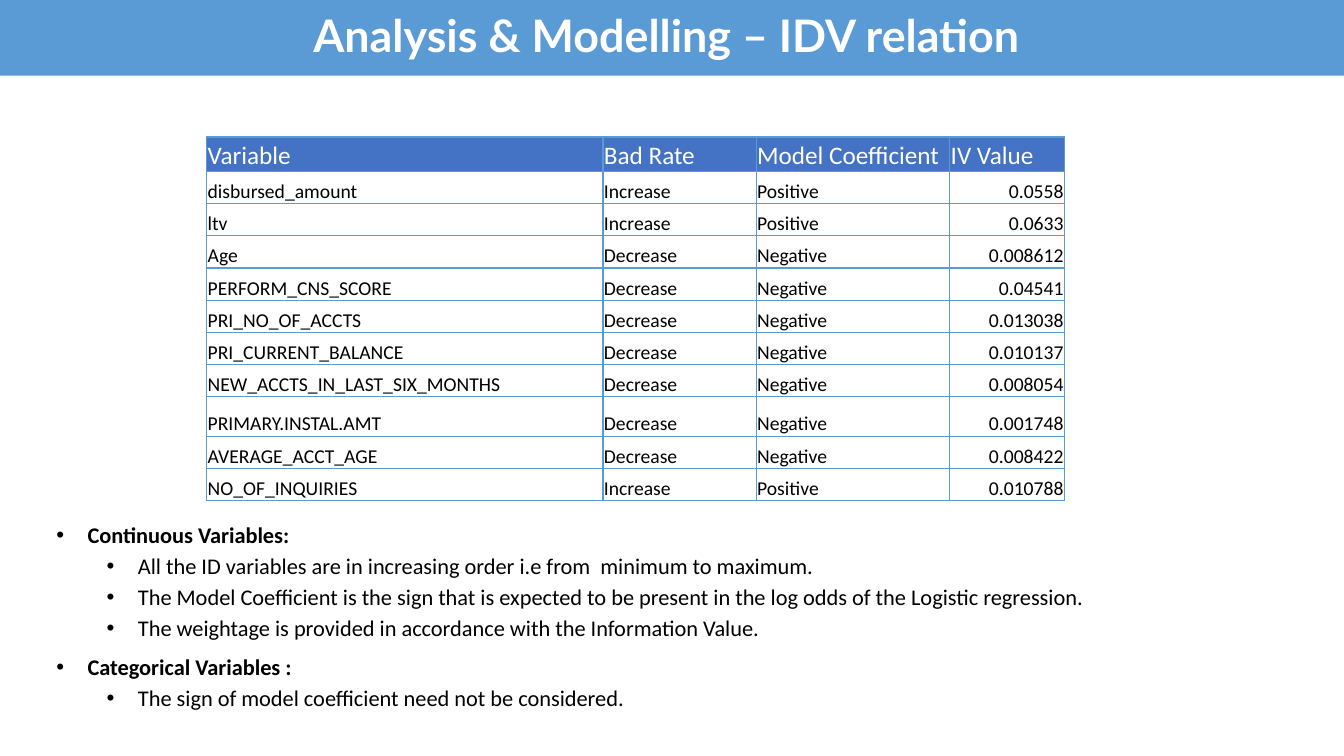
"""Build the slide on independent variables and their model relation."""
import pptx
import pptx.dml.color
import pptx.enum.shapes
import pptx.enum.text
import pptx.oxml
import pptx.oxml.ns
import pptx.util
from lxml import etree

TITLE = "Analysis & Modelling – IDV relation "
HEADER = ("Variable", "Bad Rate", "Model Coefficient", "IV Value")
VARIABLES = [
    ("disbursed_amount", "Increase", "Positive", "0.0558"),
    ("ltv", "Increase", "Positive", "0.0633"),
    ("Age", "Decrease", "Negative", "0.008612"),
    ("PERFORM_CNS_SCORE", "Decrease", "Negative", "0.04541"),
    ("PRI_NO_OF_ACCTS", "Decrease", "Negative", "0.013038"),
    ("PRI_CURRENT_BALANCE", "Decrease", "Negative", "0.010137"),
    ("NEW_ACCTS_IN_LAST_SIX_MONTHS", "Decrease", "Negative", "0.008054"),
    ("PRIMARY.INSTAL.AMT", "Decrease", "Negative", "0.001748"),
    ("AVERAGE_ACCT_AGE", "Decrease", "Negative", "0.008422"),
    ("NO_OF_INQUIRIES", "Increase", "Positive", "0.010788"),
]
NOTES = [
    ("Continuous Variables:", [
        "All the ID variables are in increasing order i.e from  minimum to maximum.",
        "The Model Coefficient is the sign that is expected to be present in the log odds of the Logistic regression.",
        "The weightage is provided in accordance with the Information Value.",
    ]),
    ("Categorical Variables :", ["The sign of model coefficient need not be considered."]),
]
COLORS = {"band": "5B9BD5", "header": "4472C4", "white": "FFFFFF", "text": "000000"}
COLUMNS = (3.93, 1.52, 1.92, 1.14)
ROWS = [0.34] + [0.32] * 7 + [0.39] + [0.32] * 2
INCH = pptx.util.Inches
ALIGN = pptx.enum.text.PP_ALIGN
MIDDLE = pptx.enum.text.MSO_ANCHOR.MIDDLE
BOTTOM = pptx.enum.text.MSO_ANCHOR.BOTTOM


def rgb(name):
    return pptx.dml.color.RGBColor.from_string(COLORS[name])


def write(p, text, size=16, font="Calibri", color="text", bold=False,
          align=ALIGN.LEFT, spacing=None, before=0):
    p.alignment = align
    p.line_spacing = spacing
    p.space_before = pptx.util.Pt(before)
    r = p.add_run()
    r.text = text
    r.font.size = pptx.util.Pt(size)
    r.font.name = font
    r.font.bold = bold
    r.font.color.rgb = rgb(color)


def add_bullet(p, level):
    p.level = level
    pPr = p._p.get_or_add_pPr()
    pPr.set("marL", str(INCH(0.31 + 0.5 * level)))
    pPr.set("indent", str(-INCH(0.31)))
    for tag, key, value in (("a:buFont", "typeface", "Arial"), ("a:buChar", "char", "•")):
        etree.SubElement(pPr, pptx.oxml.ns.qn(tag)).set(key, value)


def add_borders(cell):
    tcPr = cell._tc.get_or_add_tcPr()
    for i, side in enumerate(("lnL", "lnR", "lnT", "lnB")):
        tcPr.insert(i, pptx.oxml.parse_xml(
            f'<a:{side} {pptx.oxml.ns.nsdecls("a")} w="{pptx.util.Pt(1)}">'
            f'<a:solidFill><a:srgbClr val="{COLORS["band"]}"/></a:solidFill></a:{side}>'))


def add_title(s):
    sp = s.shapes.add_shape(pptx.enum.shapes.MSO_SHAPE.RECTANGLE,
                            INCH(-0.04), 0, INCH(13.41), INCH(0.75))
    sp.shadow.inherit = False
    sp.fill.solid()
    sp.fill.fore_color.rgb = rgb("band")
    sp.line.fill.background()
    tf = sp.text_frame
    tf.word_wrap = True
    tf.vertical_anchor = MIDDLE
    write(tf.paragraphs[0], TITLE, size=32, font="Lato", color="white", bold=True,
          align=ALIGN.CENTER, spacing=0.9)


def add_variables(s):
    table = s.shapes.add_table(len(ROWS), len(COLUMNS), INCH(2.05), INCH(1.36),
                               INCH(sum(COLUMNS)), INCH(sum(ROWS))).table
    table.horz_banding = False
    for column, width in zip(table.columns, COLUMNS):
        column.width = INCH(width)
    for row, height in zip(table.rows, ROWS):
        row.height = INCH(height)
    for i, values in enumerate([HEADER] + VARIABLES):
        for j, value in enumerate(values):
            cell = table.cell(i, j)
            cell.vertical_anchor = BOTTOM
            cell.margin_left = cell.margin_right = cell.margin_top = INCH(0.01)
            cell.margin_bottom = 0
            if i == 0:
                cell.fill.solid()
                cell.fill.fore_color.rgb = rgb("header")
            else:
                cell.fill.background()
            add_borders(cell)
            write(cell.text_frame.paragraphs[0], value, size=14 if i else 18,
                  color="text" if i else "white",
                  align=ALIGN.RIGHT if i and j == 3 else ALIGN.LEFT)


def add_notes(s):
    tf = s.shapes.add_textbox(INCH(0.46), INCH(5.15), INCH(10.99), INCH(2.5)).text_frame
    tf.word_wrap = True
    lines = [(level, text) for head, points in NOTES
             for level, text in [(0, head)] + [(1, point) for point in points]]
    for i, (level, text) in enumerate(lines):
        p = tf.add_paragraph() if i else tf.paragraphs[0]
        write(p, text, bold=level == 0, spacing=0.9, before=5 if level else 10)
        add_bullet(p, level)


def main():
    prs = pptx.Presentation()
    prs.slide_width, prs.slide_height = INCH(13.33), INCH(7.5)
    s = prs.slides.add_slide(prs.slide_layouts[6])
    add_notes(s)
    add_variables(s)
    add_title(s)
    prs.save("out.pptx")


if __name__ == "__main__":
    main()
